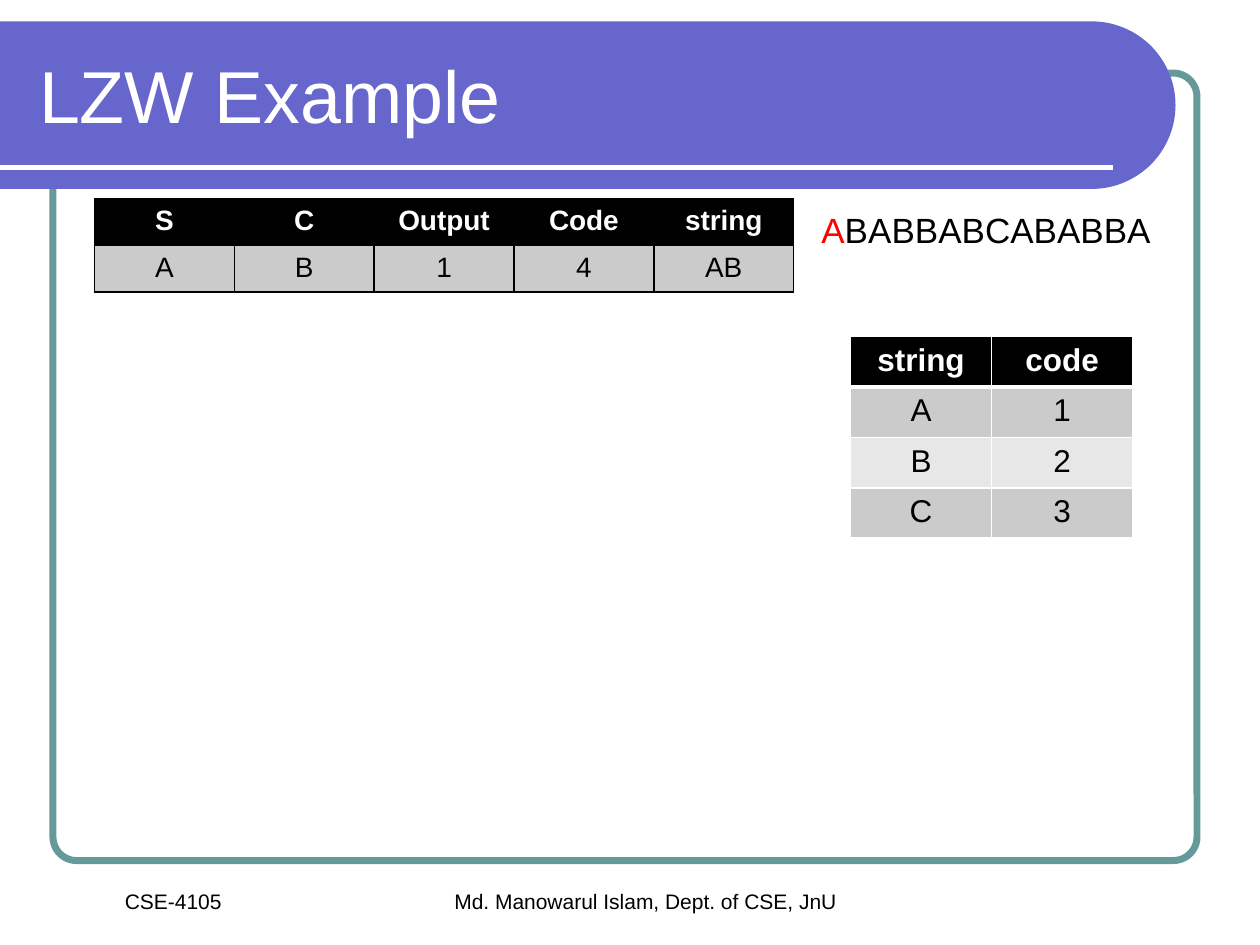
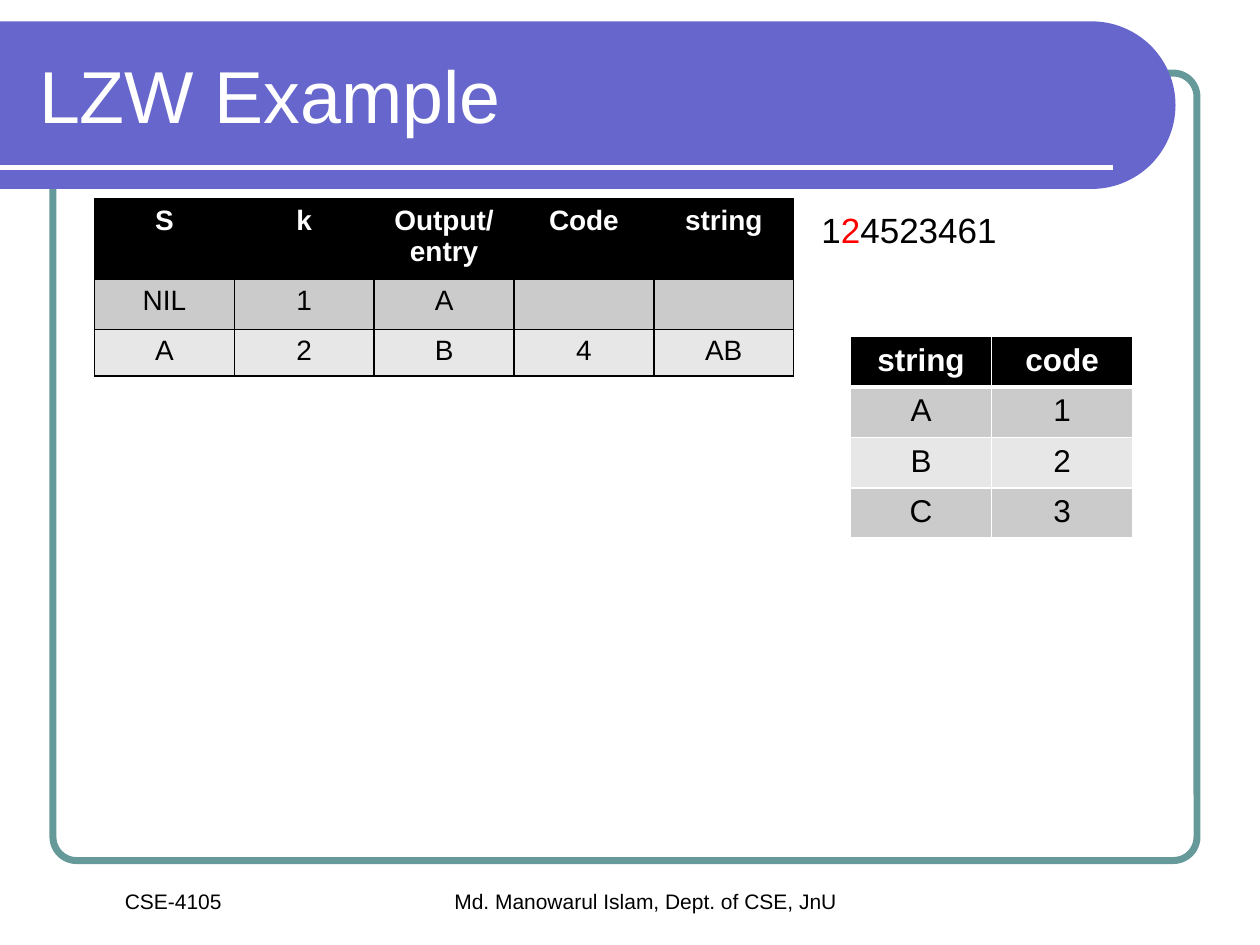
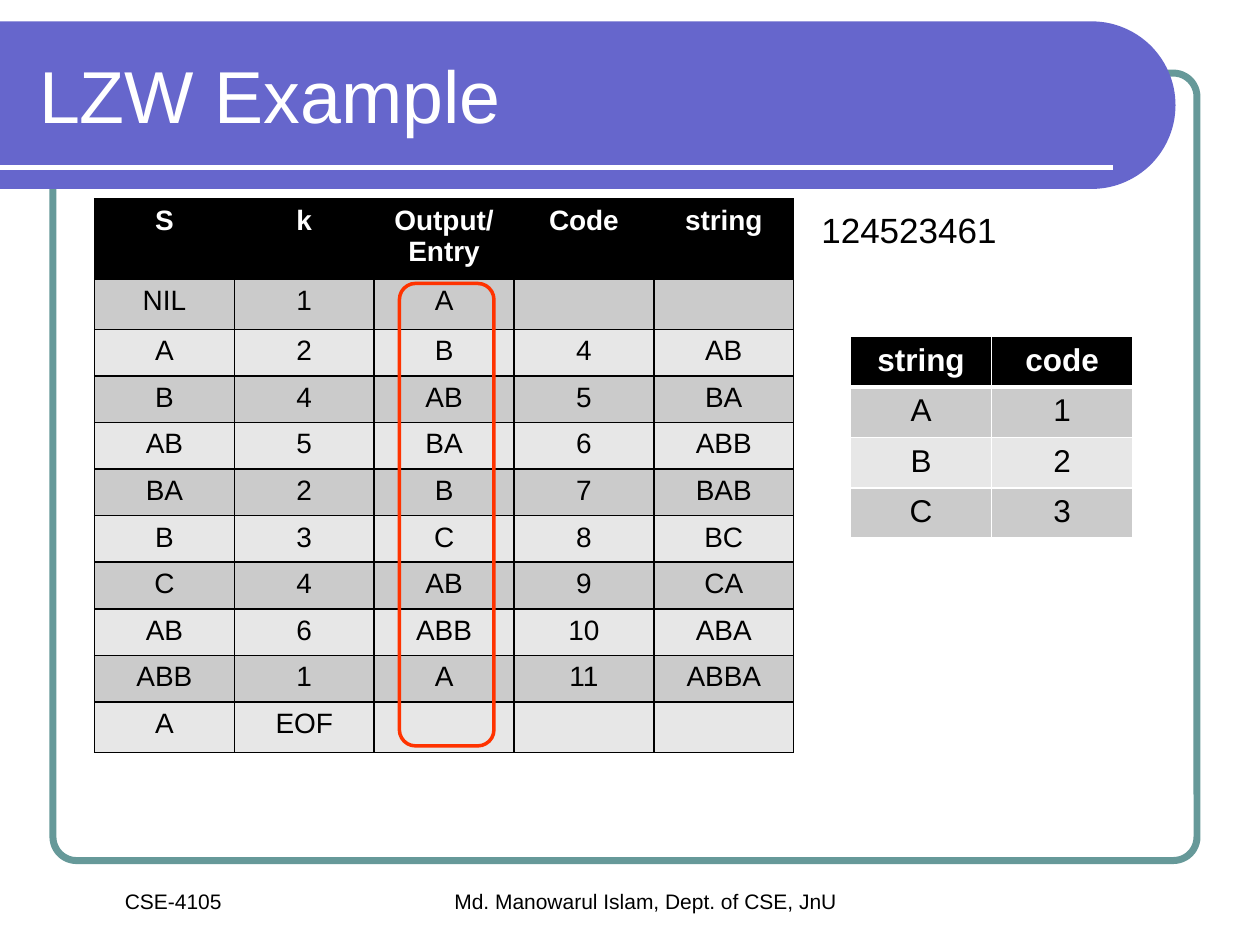
import math

from lxml import etree
from pptx import Presentation
from pptx.dml.color import RGBColor
from pptx.enum import shapes, text
from pptx.oxml import ns
from pptx.util import Inches, Pt

FONT = "Arial"
BLACK, WHITE, RED = "000000", "FFFFFF", "FF0000"
BAND, FRAME, HIGHLIGHT = "6666CC", "669999", "FF3300"
ROW_FILLS = ("CBCBCB", "E7E7E7")

TITLE = "LZW Example"
COURSE = "CSE-4105"
AUTHOR = "Md. Manowarul Islam, Dept. of CSE, JnU"
DICTIONARY = [("string", "code"), ("A", "1"), ("B", "2"), ("C", "3")]
ENCODING = [("S", "C", "Output", "Code", "string"), ("A", "B", "1", "4", "AB")]
DECODING = [
    ("NIL", "1", "A", "", ""),
    ("A", "2", "B", "4", "AB"),
    ("B", "4", "AB", "5", "BA"),
    ("AB", "5", "BA", "6", "ABB"),
    ("BA", "2", "B", "7", "BAB"),
    ("B", "3", "C", "8", "BC"),
    ("C", "4", "AB", "9", "CA"),
    ("AB", "6", "ABB", "10", "ABA"),
    ("ABB", "1", "A", "11", "ABBA"),
    ("A", "EOF", "", "", ""),
]


def color(value):
    return RGBColor.from_string(value)


def inches(box):
    return [Inches(length) for length in box]


def add_run(paragraph, words, size, fill, bold=False):
    run = paragraph.add_run()
    run.text = words
    run.font.name = FONT
    run.font.size = Pt(size)
    run.font.bold = bold
    run.font.color.rgb = color(fill)


def add_text(slide, box, runs, size, align=text.PP_ALIGN.LEFT, line_spacing=1.0):
    """Add a one-paragraph text box from (words, colour) pairs."""
    frame = slide.shapes.add_textbox(*inches(box)).text_frame
    frame.word_wrap = True
    paragraph = frame.paragraphs[0]
    paragraph.alignment = align
    paragraph.line_spacing = line_spacing
    for words, fill in runs:
        add_run(paragraph, words, size, fill)


def add_outline(slide, box, line, width, corner):
    """Add an unfilled rounded rectangle."""
    shape = slide.shapes.add_shape(shapes.MSO_SHAPE.ROUNDED_RECTANGLE, *inches(box))
    shape.adjustments[0] = corner
    shape.shadow.inherit = False
    shape.fill.background()
    shape.line.color.rgb = color(line)
    shape.line.width = Pt(width)


def add_band(slide, box):
    """Add the title band with its round right end and the white rule across it."""
    left, top, width, height = box
    radius = height / 2
    center_x, center_y = left + width - radius, top + radius
    angles = [math.radians(degrees) for degrees in range(-90, 91, 3)]
    arc = [(center_x + radius * math.cos(angle), center_y + radius * math.sin(angle))
           for angle in angles]
    builder = slide.shapes.build_freeform(*inches((left, top)))
    builder.add_line_segments(
        [inches(point) for point in arc + [(left, top + height)]], close=True)
    band = builder.convert_to_shape()
    band.shadow.inherit = False
    band.fill.solid()
    band.fill.fore_color.rgb = color(BAND)
    band.line.fill.background()

    rule_y = top + height - 0.17
    rule = slide.shapes.add_connector(
        shapes.MSO_CONNECTOR.STRAIGHT,
        *inches((left, rule_y, left + width - 0.5, rule_y)))
    rule.line.color.rgb = color(WHITE)
    rule.line.width = Pt(3)
    etree.SubElement(rule.element.spPr, ns.qn("a:effectLst"))


def format_title(slide, box):
    title = slide.shapes.title
    slide.shapes.element.append(title.element)  # in front of the band
    title.left, title.top, title.width, title.height = inches(box)
    frame = title.text_frame
    frame.auto_size = text.MSO_AUTO_SIZE.NONE
    frame.vertical_anchor = text.MSO_ANCHOR.MIDDLE
    paragraph = frame.paragraphs[0]
    paragraph.alignment = text.PP_ALIGN.LEFT
    add_run(paragraph, TITLE, 42, WHITE)


def add_base_slide(presentation):
    """Add a slide with the frame, band, title and footers all slides share."""
    slide = presentation.slides.add_slide(presentation.slide_layouts[5])
    add_outline(slide, (0.42, 0.58, 9.08, 6.25), FRAME, 4, 0.03)
    add_band(slide, (0, 0.17, 9.33, 1.33))
    for box, words in (((1.75, 7, 6.75, 0.61), AUTHOR), ((0.25, 7, 2.25, 0.3), COURSE)):
        add_text(slide, box, [(words, BLACK)], 12, text.PP_ALIGN.CENTER)
    format_title(slide, (0.21, 0.25, 8.77, 1))
    return slide


def set_border(cell, side, line, width):
    properties = cell._tc.get_or_add_tcPr()
    border = etree.SubElement(properties, ns.qn(f"a:ln{side}"), w=str(Pt(width)))
    fill = etree.SubElement(border, ns.qn("a:solidFill"))
    etree.SubElement(fill, ns.qn("a:srgbClr"), val=line)


def fill_cell(cell, words, size, is_header, fill):
    cell.fill.solid()
    cell.fill.fore_color.rgb = color(fill)
    frame = cell.text_frame
    for index, line in enumerate(words.splitlines()):
        paragraph = frame.add_paragraph() if index else frame.paragraphs[0]
        paragraph.alignment = text.PP_ALIGN.CENTER
        add_run(paragraph, line, size, WHITE if is_header else BLACK, is_header)
    if not words:  # the font of an empty cell sets its least height
        end = etree.SubElement(frame.paragraphs[0]._p, ns.qn("a:endParaRPr"), sz="1800")
        etree.SubElement(end, ns.qn("a:latin"), typeface=FONT)


def add_grid(slide, corner, rows, column_width, row_heights, size, line, header_line=1):
    """Add a table with a black header; header_line is the width of the rule below it."""
    box = (*corner, column_width * len(rows[0]), sum(row_heights))
    table = slide.shapes.add_table(len(rows), len(rows[0]), *inches(box)).table
    table.horz_banding = False
    for column in table.columns:
        column.width = Inches(column_width)
    for row_index, (row, height) in enumerate(zip(rows, row_heights)):
        table.rows[row_index].height = Inches(height)
        is_header = row_index == 0
        fill = BLACK if is_header else ROW_FILLS[(row_index - 1) % 2]
        widths = {"L": 1, "R": 1,
                  "T": header_line if row_index == 1 else 1,
                  "B": header_line if is_header else 1}
        for column_index, words in enumerate(row):
            cell = table.cell(row_index, column_index)
            for side, width in widths.items():
                set_border(cell, side, line, width)
            fill_cell(cell, words, size, is_header, fill)


def add_example_slide(presentation, sequence, steps, header_height):
    """Add a slide with the step table, the input sequence and the dictionary."""
    slide = add_base_slide(presentation)
    add_text(slide, (6.42, 1.67, 4.08, 0.5), sequence, 20, line_spacing=0.8)
    step_heights = [header_height] + [0.37] * (len(steps) - 1)
    add_grid(slide, (0.75, 1.58), steps, 1.11, step_heights, 16, BLACK)
    add_grid(slide, (6.75, 2.67), DICTIONARY, 1.12, [0.4] * len(DICTIONARY), 18, WHITE, 3)
    return slide


def decoding_header(output):
    return ("S", "k", output, "Code", "string")


def main():
    presentation = Presentation()
    presentation.slide_width = Inches(10)
    presentation.slide_height = Inches(7.5)

    add_example_slide(presentation, [("A", RED), ("BABBABCABABBA", BLACK)], ENCODING, 0.37)
    add_example_slide(presentation, [("1", BLACK), ("2", RED), ("4523461", BLACK)],
                      [decoding_header("Output/entry")] + DECODING[:2], 0.63)
    decoded = add_example_slide(presentation, [("124523461", BLACK)],
                                [decoding_header("Output/\nEntry")] + DECODING, 0.63)
    add_outline(decoded, (3.17, 2.25, 0.75, 3.67), HIGHLIGHT, 2, 0.17)

    presentation.save("out.pptx")


if __name__ == "__main__":
    main()
